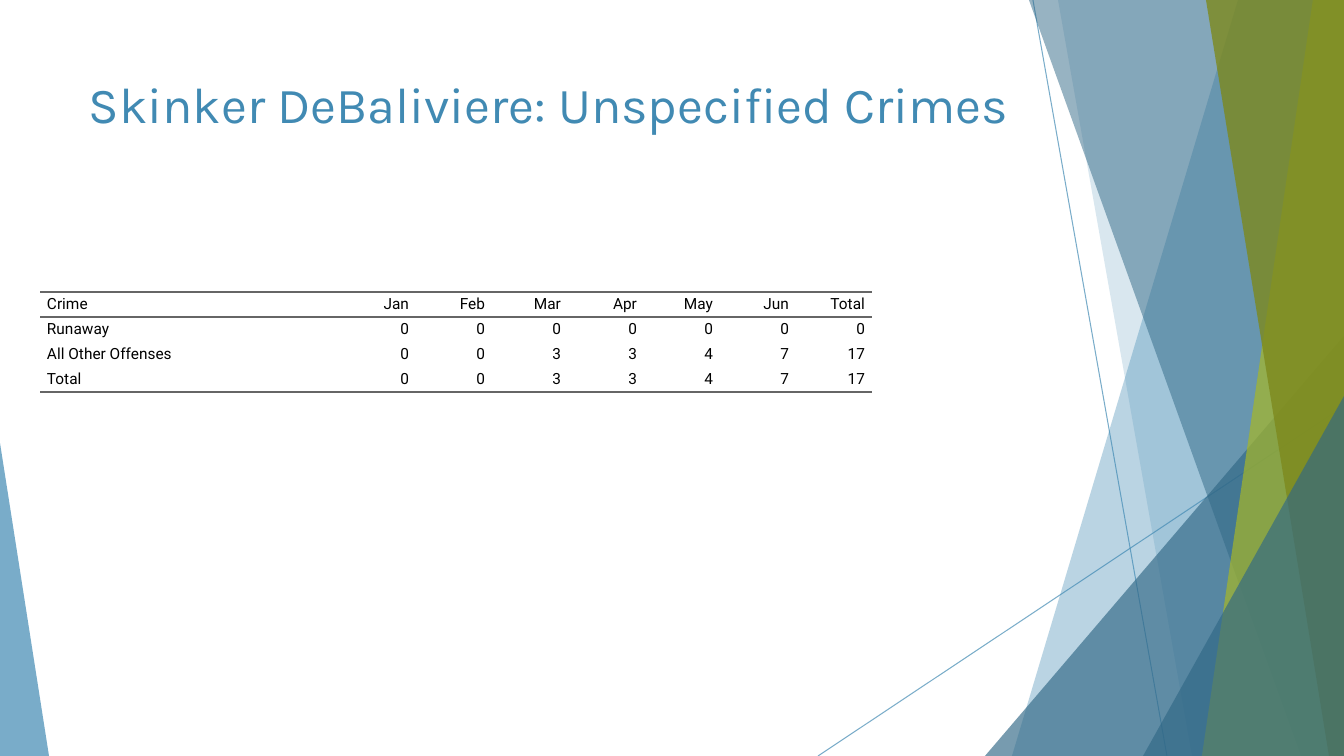
from dataclasses import dataclass

from lxml.etree import SubElement
from pptx import Presentation
from pptx.dml.color import RGBColor
from pptx.enum.shapes import MSO_CONNECTOR as Connector, MSO_SHAPE as Shape
from pptx.enum.text import MSO_ANCHOR as Anchor, MSO_AUTO_SIZE as AutoSize, PP_ALIGN as Align
from pptx.oxml.ns import qn
from pptx.util import Emu, Pt

EMU_PER_PX = 914400 / 100.8
PAGE_WIDTH, PAGE_HEIGHT = 1344, 756
NO_STYLE_NO_GRID = "{2D5ABB26-0587-4C30-8999-92F81FD0307C}"


@dataclass(frozen=True)
class Theme:
    blue: str = "418AB3"
    deep_blue: str = "316886"
    lime: str = "A6B727"
    olive: str = "7D891D"
    ink: str = "000000"
    rule: str = "666666"
    title_font: str = "Karla"
    table_font: str = "Roboto"
    title_size: float = 36
    table_size: float = 11
    rule_width: float = 2
    ray_width: float = 0.75


THEME = Theme()


@dataclass(frozen=True)
class Ray:
    start: tuple[int, int]
    end: tuple[int, int]


@dataclass(frozen=True)
class Facet:
    """A full-height band from a slanted left edge to the right page edge."""
    top: int
    bottom: int
    color: str
    opacity: int


@dataclass(frozen=True)
class Wedge:
    """A right-angled triangle whose apex is at the left (0) or right (1)."""
    left: int
    top: int
    width: int
    height: int
    apex: int
    color: str
    opacity: int


RAYS = [Ray((1033, 0), (1167, 756)), Ray((1344, 406), (818, 756))]
PANES = [
    Facet(1238, 1012, THEME.blue, 36),
    Facet(1058, 1192, THEME.blue, 20),
    Wedge(985, 336, 359, 420, 1, THEME.deep_blue, 66),
    Facet(1029, 1301, THEME.deep_blue, 50),
    Facet(1313, 1202, THEME.lime, 70),
    Facet(1206, 1329, THEME.olive, 80),
    Wedge(1143, 396, 201, 360, 1, THEME.deep_blue, 66),
    Wedge(0, 443, 49, 313, 0, THEME.blue, 70),
]

CRIME_ROWS = [
    ["Crime", "Jan", "Feb", "Mar", "Apr", "May", "Jun", "Total"],
    ["Runaway", "0", "0", "0", "0", "0", "0", "0"],
    ["All Other Offenses", "0", "0", "3", "3", "4", "7", "17"],
    ["Total", "0", "0", "3", "3", "4", "7", "17"],
]
TABLE_LEFT, TABLE_TOP = 40, 292
NAME_WIDTH, COUNT_WIDTH, ROW_HEIGHT, CELL_INDENT = 300, 76, 25, 7


def px(length: float) -> Emu:
    return Emu(round(length * EMU_PER_PX))


def set_opacity(shape, percent: int) -> None:
    for color in shape._element.spPr.iter(qn("a:srgbClr")):
        SubElement(color, qn("a:alpha"), val=str(percent * 1000))


def write(frame, text: str, *, font: str, size: float, color: str, align: Align):
    para = frame.paragraphs[0]
    para.alignment = align
    span = para.add_run()
    span.text = text
    span.font.name = font
    span.font.size = Pt(size)
    span.font.color.rgb = RGBColor.from_string(color)
    return para


def draw_ray(page, ray: Ray) -> None:
    line = page.shapes.add_connector(
        Connector.STRAIGHT, *map(px, ray.start + ray.end))
    line.line.color.rgb = RGBColor.from_string(THEME.blue)
    line.line.width = Pt(THEME.ray_width)
    set_opacity(line, 70)
    SubElement(line._element.spPr, qn("a:effectLst"))


def draw_pane(page, pane: Facet | Wedge) -> None:
    if isinstance(pane, Facet):
        outline = page.shapes.build_freeform(pane.top, 0, scale=EMU_PER_PX)
        outline.add_line_segments([
            (PAGE_WIDTH, 0), (PAGE_WIDTH, PAGE_HEIGHT), (pane.bottom, PAGE_HEIGHT)])
        shape = outline.convert_to_shape()
    else:
        shape = page.shapes.add_shape(
            Shape.ISOSCELES_TRIANGLE,
            *map(px, (pane.left, pane.top, pane.width, pane.height)))
        shape.adjustments[0] = pane.apex
    shape.shadow.inherit = False
    shape.fill.solid()
    shape.fill.fore_color.rgb = RGBColor.from_string(pane.color)
    set_opacity(shape, pane.opacity)
    shape.line.fill.background()


def rule_cell(cell, *, top: bool, bottom: bool) -> None:
    cell.fill.background()
    properties = cell._tc.get_or_add_tcPr()
    edges = {"lnL": False, "lnR": False, "lnT": top, "lnB": bottom}
    for index, (edge, ruled) in enumerate(edges.items()):
        line = SubElement(properties, qn(f"a:{edge}"))
        properties.insert(index, line)
        if ruled:
            line.set("w", str(Pt(THEME.rule_width)))
            fill = SubElement(line, qn("a:solidFill"))
            SubElement(fill, qn("a:srgbClr"), val=THEME.rule)
        else:
            SubElement(line, qn("a:noFill"))


def draw_crime_table(page) -> None:
    widths = [NAME_WIDTH] + [COUNT_WIDTH] * (len(CRIME_ROWS[0]) - 1)
    frame = page.shapes.add_table(
        len(CRIME_ROWS), len(widths), px(TABLE_LEFT), px(TABLE_TOP),
        px(sum(widths)), px(ROW_HEIGHT * len(CRIME_ROWS)))
    table = frame.table
    table.first_row = table.horz_banding = False
    table._tbl.tblPr.find(qn("a:tableStyleId")).text = NO_STYLE_NO_GRID
    for column, width in zip(table.columns, widths):
        column.width = px(width)
    for row, values in enumerate(CRIME_ROWS):
        table.rows[row].height = px(ROW_HEIGHT)
        for column, value in enumerate(values):
            cell = table.cell(row, column)
            cell.vertical_anchor = Anchor.MIDDLE
            cell.margin_left = cell.margin_right = 0
            cell.margin_top = cell.margin_bottom = 0
            para = write(cell.text_frame, value, font=THEME.table_font,
                         size=THEME.table_size, color=THEME.ink,
                         align=Align.RIGHT if column else Align.LEFT)
            for side in ("marL", "marR"):
                para._p.get_or_add_pPr().set(side, str(px(CELL_INDENT)))
            rule_cell(cell, top=row in (0, 1),
                      bottom=row in (0, len(CRIME_ROWS) - 1))


def set_title(page, text: str) -> None:
    title = page.shapes.title
    title.left, title.top, title.width, title.height = map(px, (75, 68, 947, 145))
    frame = title.text_frame
    frame.word_wrap = True
    frame.auto_size = AutoSize.NONE
    frame.vertical_anchor = Anchor.TOP
    write(frame, text, font=THEME.title_font, size=THEME.title_size,
          color=THEME.blue, align=Align.CENTER)


def main() -> None:
    deck = Presentation()
    deck.slide_width, deck.slide_height = px(PAGE_WIDTH), px(PAGE_HEIGHT)
    page = deck.slides.add_slide(deck.slide_layouts[5])
    for ray in RAYS:
        draw_ray(page, ray)
    for pane in PANES:
        draw_pane(page, pane)
    draw_crime_table(page)
    set_title(page, "Skinker DeBaliviere: Unspecified Crimes")
    deck.save("out.pptx")


if __name__ == "__main__":
    main()
